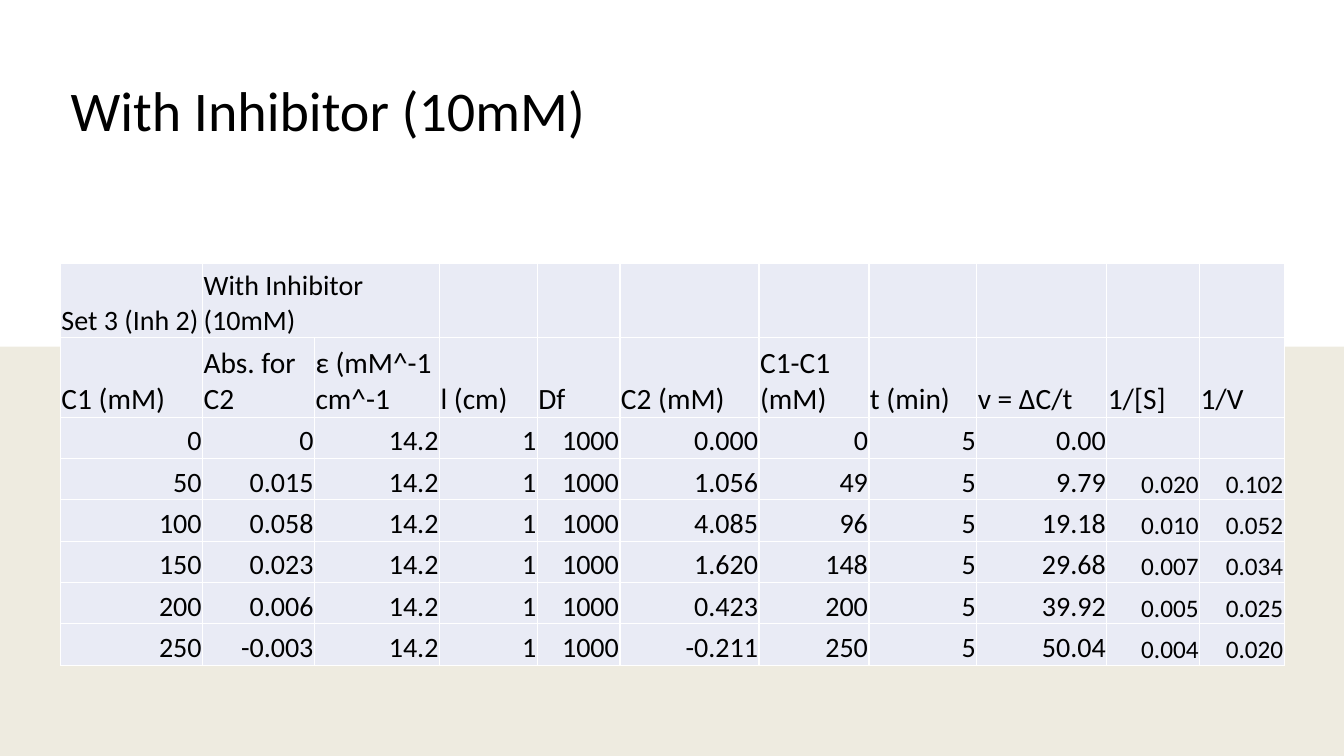
from lxml.etree import SubElement
from pptx import Presentation
from pptx.dml.color import RGBColor
from pptx.enum.shapes import MSO_SHAPE as Shape
from pptx.enum.text import MSO_ANCHOR as Anchor, PP_ALIGN as Align
from pptx.oxml.ns import qn
from pptx.util import Inches, Pt

TITLE = "With Inhibitor (10mM)"
GROUP_ROW = ["Set 3 (Inh 2)", "With Inhibitor (10mM)"] + [""] * 9
HEADINGS = ["C1 (mM)", "Abs. for C2", "ε (mM^-1 cm^-1", "l (cm)", "Df", "C2 (mM)",
            "C1-C1 (mM)", "t (min)", "v = ΔC/t", "1/[S]", "1/V"]
EPSILON, LENGTH, DILUTION, MINUTES = "14.2", "1", "1000", "5"
# C1, absorbance, C2, C1 difference, v, 1/[S], 1/V
READINGS = [
    ("0", "0", "0.000", "0", "0.00", "", ""),
    ("50", "0.015", "1.056", "49", "9.79", "0.020", "0.102"),
    ("100", "0.058", "4.085", "96", "19.18", "0.010", "0.052"),
    ("150", "0.023", "1.620", "148", "29.68", "0.007", "0.034"),
    ("200", "0.006", "0.423", "200", "39.92", "0.005", "0.025"),
    ("250", "-0.003", "-0.211", "250", "50.04", "0.004", "0.020"),
]
COLUMN_WIDTHS = [1.41, 1.11, 1.24, 0.97, 0.82, 1.38, 1.09, 1.07, 1.29, 0.92, 0.84]
ROW_HEIGHTS = [0.74, 0.79] + [0.41] * len(READINGS)
RECIPROCAL_COLUMN = 9
COLORS = {"white": "FFFFFF", "grey": "F2F2F2", "gold": "BF9000",
          "cell": "E9EBF5", "text": "000000"}
FONT = "Calibri"
WIDTH, HEIGHT, BAND_HEIGHT = 13.33, 7.5, 3.44
LEFT, CONTENT_WIDTH = 0.6, 12.13


def color(name):
    return RGBColor.from_string(COLORS[name])


def write(frame, text, size, align=Align.LEFT, line_spacing=None):
    para = frame.paragraphs[0]
    para.alignment = align
    para.line_spacing = line_spacing
    span = para.add_run()
    span.text = text
    span.font.size = Pt(size)
    span.font.name = FONT
    span.font.color.rgb = color("text")


def add_backdrop(shapes, height, fill, opacity=None):
    box = shapes.add_shape(Shape.RECTANGLE, 0, 0, Inches(WIDTH), Inches(height))
    box.shadow.inherit = False
    box.line.fill.background()
    box.fill.solid()
    box.fill.fore_color.rgb = color(fill)
    if opacity is not None:
        tint = box.fill._xPr.find(".//" + qn("a:srgbClr"))
        SubElement(tint, qn("a:alpha"), val=str(opacity * 1000))


def add_borders(cell):
    """Draw the four white sides; they must precede the cell's fill."""
    properties = cell._tc.get_or_add_tcPr()
    for side in ("lnL", "lnR", "lnT", "lnB"):
        line = SubElement(properties, qn("a:" + side), w=str(Pt(1)))
        fill = SubElement(line, qn("a:solidFill"))
        SubElement(fill, qn("a:srgbClr"), val=COLORS["white"])


def format_cell(cell):
    add_borders(cell)
    cell.fill.solid()
    cell.fill.fore_color.rgb = color("cell")
    cell.vertical_anchor = Anchor.BOTTOM
    cell.margin_left = cell.margin_right = cell.margin_top = Inches(0.01)
    cell.margin_bottom = 0


def text_size(row, column):
    if row == 1:
        return 21
    return 18 if row > 1 and column >= RECIPROCAL_COLUMN else 20


def add_readings_table(page):
    rows = [GROUP_ROW, HEADINGS]
    for c1, absorbance, c2, difference, *rates in READINGS:
        rows.append([c1, absorbance, EPSILON, LENGTH, DILUTION, c2, difference, MINUTES, *rates])
    table = page.shapes.add_table(
        len(rows), len(HEADINGS), Inches(LEFT), Inches(2.61),
        Inches(CONTENT_WIDTH), Inches(sum(ROW_HEIGHTS))).table
    table.first_row = table.horz_banding = False
    for column, width in zip(table.columns, COLUMN_WIDTHS):
        column.width = Inches(width)
    for row, height in zip(table.rows, ROW_HEIGHTS):
        row.height = Inches(height)

    # The second group label spans two columns, so the rest moves one to the right.
    rows[0] = GROUP_ROW[:2] + [""] + GROUP_ROW[2:-1]
    table.cell(0, 1).merge(table.cell(0, 2))
    for r, texts in enumerate(rows):
        for c, text in enumerate(texts):
            cell = table.cell(r, c)
            format_cell(cell)
            if text:
                write(cell.text_frame, text, text_size(r, c),
                      align=Align.RIGHT if r > 1 else Align.LEFT)


def main():
    deck = Presentation()
    deck.slide_width, deck.slide_height = Inches(WIDTH), Inches(HEIGHT)
    page = deck.slides.add_slide(deck.slide_layouts[5])

    backdrop = page.shapes.add_group_shape()
    add_backdrop(backdrop.shapes, HEIGHT, "grey")
    add_backdrop(backdrop.shapes, HEIGHT, "gold", opacity=7)
    add_backdrop(page.shapes, BAND_HEIGHT, "white")

    title = page.shapes.title
    page.shapes._spTree.append(title._element)
    title.left, title.top = Inches(LEFT), Inches(0.4)
    title.width, title.height = Inches(CONTENT_WIDTH), Inches(1.45)
    title.text_frame.vertical_anchor = Anchor.MIDDLE
    write(title.text_frame, TITLE, 40, line_spacing=0.9)

    add_readings_table(page)
    deck.save("out.pptx")


if __name__ == "__main__":
    main()
